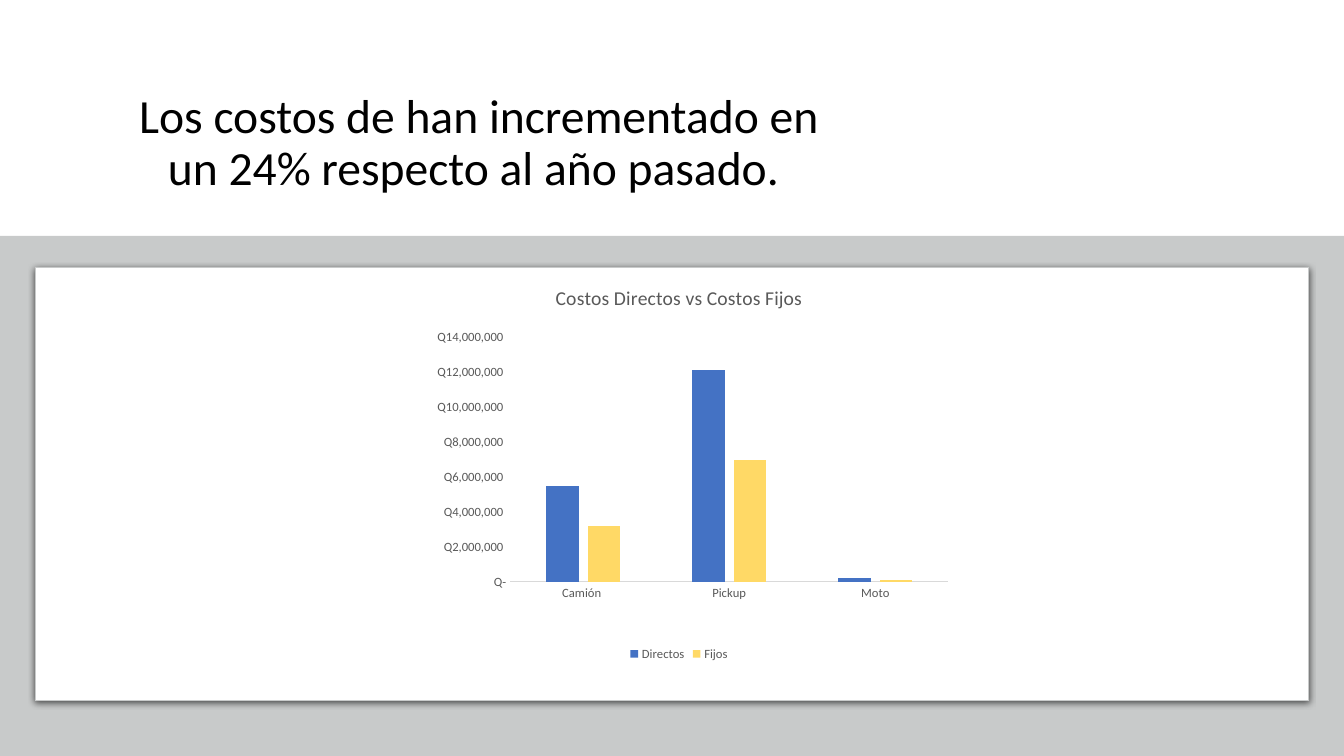
from lxml import etree
from pptx import Presentation
from pptx.chart.data import CategoryChartData
from pptx.dml.color import RGBColor
from pptx.enum.chart import XL_CHART_TYPE as ChartType, XL_LEGEND_POSITION as LegendPos, XL_TICK_MARK as Tick
from pptx.enum.shapes import MSO_SHAPE as Shape
from pptx.enum.text import MSO_ANCHOR, MSO_AUTO_SIZE, PP_ALIGN
from pptx.oxml import parse_xml
from pptx.oxml.ns import nsdecls, qn
from pptx.util import Inches, Pt

FONT = "Calibri"
COLORS = {
    "black": "000000",
    "white": "FFFFFF",
    "band": "C8CACA",
    "label": "595959",
    "axis": "D9D9D9",
    "Directos": "4472C4",
    "Fijos": "FFD966",
}
CATEGORIES = ["Camión ", "Pickup", "Moto"]
COSTS = {
    "Directos": (5500000, 12100000, 200000),
    "Fijos": (3200000, 7000000, 100000),
}
QUETZAL_FORMAT = r'_-"Q"* #,##0_-;\-"Q"* #,##0_-;_-"Q"* "-"'
PLOT_AREA = {"x": 0.197, "y": 0.176, "w": 0.786, "h": 0.615}


def color(name):
    """Return the named colour."""
    return RGBColor.from_string(COLORS[name])


def set_font(font, size, name):
    """Apply the slide font with a size and a colour."""
    font.name = FONT
    font.size = Pt(size)
    font.bold = False
    font.color.rgb = color(name)


def add_title(s, text, left, top, width, height):
    """Place and format the title placeholder."""
    sp = s.shapes.title
    sp.left, sp.top = Inches(left), Inches(top)
    sp.width, sp.height = Inches(width), Inches(height)
    tf = sp.text_frame
    tf.word_wrap = True
    tf.auto_size = MSO_AUTO_SIZE.NONE
    tf.vertical_anchor = MSO_ANCHOR.BOTTOM
    p = tf.paragraphs[0]
    p.alignment = PP_ALIGN.CENTER
    p.line_spacing = 0.9
    r = p.add_run()
    r.text = text
    set_font(r.font, 34, "black")


def add_box(s, kind, left, top, width, height, fill, line=None):
    """Add a filled shape with an optional outline."""
    sp = s.shapes.add_shape(kind, Inches(left), Inches(top), Inches(width), Inches(height))
    sp.shadow.inherit = False
    sp.fill.solid()
    sp.fill.fore_color.rgb = color(fill)
    if line:
        sp.line.color.rgb = color(line)
        sp.line.width = Pt(0.75)
    else:
        sp.line.fill.background()
    return sp


def add_shadow(sp, blur, distance, opacity):
    """Give a shape a soft shadow that falls downwards."""
    effects = sp._element.spPr.find(qn("a:effectLst"))
    effects.append(parse_xml(
        f'<a:outerShdw {nsdecls("a")} blurRad="{Pt(blur)}" dist="{Pt(distance)}" '
        f'dir="5400000" algn="ctr" rotWithShape="0"><a:srgbClr val="{COLORS["black"]}">'
        f'<a:alpha val="{opacity * 1000}"/></a:srgbClr></a:outerShdw>'))


def set_plot_area(chart):
    """Fix the inner plot area as fractions of the chart."""
    plot_area = chart._chartSpace.chart.plotArea
    for old in plot_area.findall(qn("c:layout")):
        plot_area.remove(old)
    layout = etree.Element(qn("c:layout"))
    manual = etree.SubElement(layout, qn("c:manualLayout"))
    settings = {"layoutTarget": "inner", "xMode": "edge", "yMode": "edge", **PLOT_AREA}
    for tag, value in settings.items():
        etree.SubElement(manual, qn(f"c:{tag}")).set("val", str(value))
    plot_area.insert(0, layout)


def format_axes(chart):
    """Style the category and value axes."""
    for axis in (chart.category_axis, chart.value_axis):
        axis.major_tick_mark = axis.minor_tick_mark = Tick.NONE
        axis.has_major_gridlines = False
        set_font(axis.tick_labels.font, 9, "label")
    line = chart.category_axis.format.line
    line.color.rgb = color("axis")
    line.width = Pt(0.75)
    values = chart.value_axis
    values.format.line.fill.background()
    values.minimum_scale, values.maximum_scale = 0, 14000000
    values.major_unit = 2000000
    values.tick_labels.number_format = QUETZAL_FORMAT
    values.tick_labels.number_format_is_linked = False


def add_cost_chart(s, title, left, top, width, height):
    """Add the clustered column chart of costs by vehicle."""
    data = CategoryChartData()
    data.categories = CATEGORIES
    for name, values in COSTS.items():
        data.add_series(name, values)
    chart = s.shapes.add_chart(ChartType.COLUMN_CLUSTERED, Inches(left), Inches(top),
                               Inches(width), Inches(height), data).chart
    set_font(chart.font, 10, "black")
    chart.has_title = True
    r = chart.chart_title.text_frame.paragraphs[0].add_run()
    r.text = title
    set_font(r.font, 14, "label")
    chart.chart_title.include_in_layout = False
    chart.has_legend = True
    chart.legend.position = LegendPos.BOTTOM
    chart.legend.include_in_layout = False
    set_font(chart.legend.font, 9, "label")
    plot = chart.plots[0]
    plot.gap_width, plot.overlap = 219, -27
    plot.vary_by_categories = False
    for series in plot.series:
        series.format.fill.solid()
        series.format.fill.fore_color.rgb = color(series.name)
    format_axes(chart)
    set_plot_area(chart)


def main():
    """Build the slide and save it."""
    prs = Presentation()
    prs.slide_width, prs.slide_height = Inches(13.33), Inches(7.5)
    s = prs.slides.add_slide(prs.slide_layouts[5])
    add_title(s, "Los costos de han incrementado en un 24% respecto al año pasado. ",
              1.08, 0.37, 7.34, 1.62)
    add_box(s, Shape.RECTANGLE, 0, 2.34, 13.33, 5.16, "band")
    card = add_box(s, Shape.ROUNDED_RECTANGLE, 0.35, 2.65, 12.63, 4.3, "white", "band")
    card.adjustments[0] = 0
    add_shadow(card, 4.5, 1.5, 63)
    add_cost_chart(s, "Costos Directos vs Costos Fijos", 3.97, 2.65, 5.53, 3.95)
    prs.save("out.pptx")


if __name__ == "__main__":
    main()
